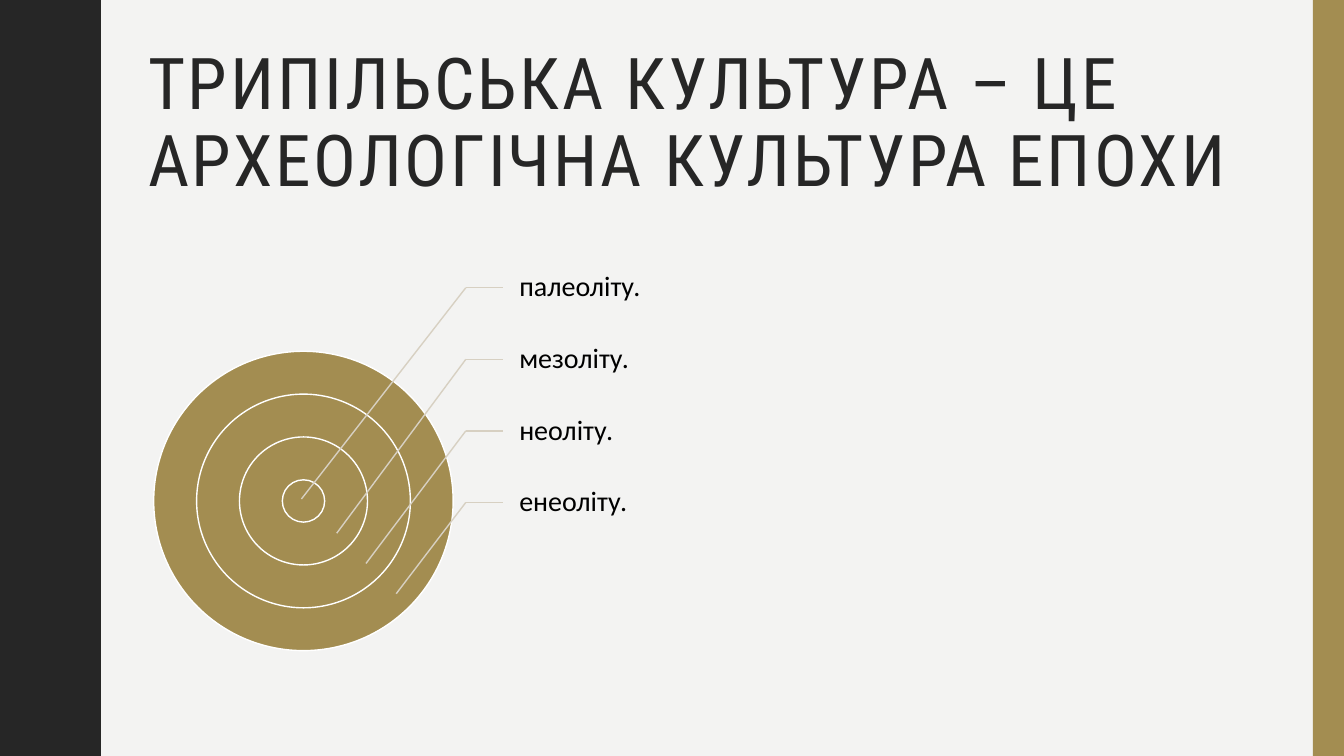
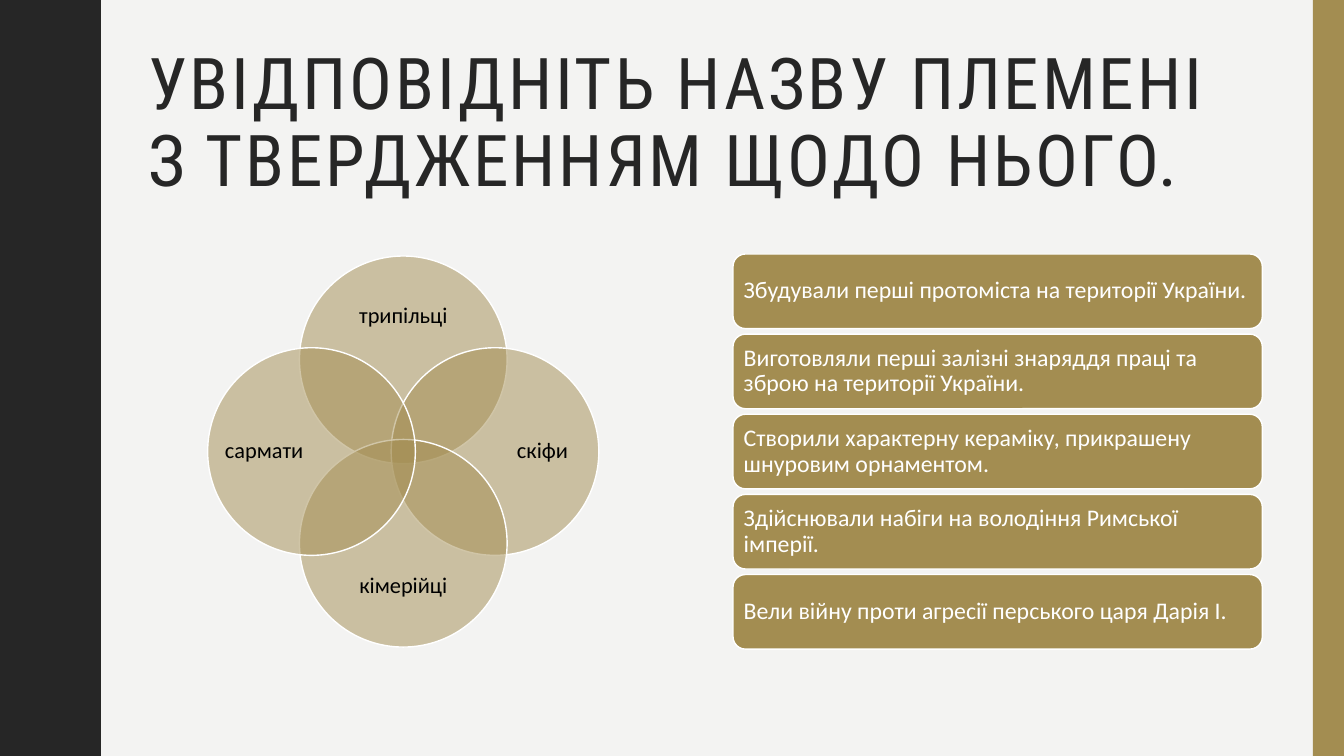
import pptx
import pptx.util
import pptx.dml.color
import pptx.enum.shapes
import pptx.enum.text
import pptx.oxml.ns
import lxml.etree

Inches = pptx.util.Inches
Pt = pptx.util.Pt
Shape = pptx.enum.shapes.MSO_SHAPE
Align = pptx.enum.text.PP_ALIGN
qn = pptx.oxml.ns.qn

HEX = {
    "paper": "F3F3F2",
    "dark": "262626",
    "gold": "A38D51",
    "line": "D7D0C2",
    "white": "FFFFFF",
    "black": "000000",
}
WIDE, HIGH = 13.33, 7.5
HEAD, BODY = "Roboto Condensed", "Calibri"
PERIOD = 1.5
CURVE = [
    (0.78, 0), (0.78, 0.07), (0.79, 0.14), (0.8, 0.2), (0.81, 0.25),
    (0.83, 0.29), (0.85, 0.33), (0.87, 0.38), (0.89, 0.42), (0.91, 0.46),
    (0.93, 0.5), (0.95, 0.55), (0.96, 0.61), (0.97, 0.68), (0.97, 0.75),
]


def color(name):
    return pptx.dml.color.RGBColor.from_string(HEX[name])


class Deck:
    def __init__(self):
        self.show = pptx.Presentation()
        self.show.slide_width = Inches(WIDE)
        self.show.slide_height = Inches(HIGH)
        self.slide = None

    def page(self, title):
        self.slide = self.show.slides.add_slide(self.show.slide_layouts[6])
        fill = self.slide.background.fill
        fill.solid()
        fill.fore_color.rgb = color("paper")
        self.wave()
        self.shape(Shape.RECTANGLE, 13.02, 0, 0.31, HIGH, edge=None)
        box = self.label(title, 1.37, 0.42, 11.13, 1.63, 51, "dark",
                         HEAD, pad=(0.1, 0.05, 0.1, 0.05))
        run = box.text_frame.paragraphs[0].runs[0]
        run._r.get_or_add_rPr().set("spc", "200")

    def wave(self):
        full = CURVE + [(x, PERIOD - y) for x, y in CURVE[-2::-1]]
        edge = [(x, y + PERIOD * i)
                for i in range(round(HIGH / PERIOD)) for x, y in full]
        form = self.slide.shapes.build_freeform(0, 0, scale=Inches(1))
        form.add_line_segments(edge + [(0, HIGH)], close=True)
        self.paint(form.convert_to_shape(), "dark", None)

    def paint(self, shape, fill, edge, alpha=None):
        shape.shadow.inherit = False
        shape.fill.solid()
        shape.fill.fore_color.rgb = color(fill)
        if alpha:
            tint = shape._element.spPr.find(".//" + qn("a:srgbClr"))
            node = lxml.etree.SubElement(tint, qn("a:alpha"))
            node.set("val", str(alpha * 1000))
        if edge:
            shape.line.color.rgb = color(edge)
            shape.line.width = Pt(1)
        else:
            shape.line.fill.background()

    def shape(self, kind, x, y, w, h, edge="white", alpha=None):
        shape = self.slide.shapes.add_shape(
            kind, Inches(x), Inches(y), Inches(w), Inches(h))
        self.paint(shape, "gold", edge, alpha)
        return shape

    def disc(self, x, y, size, alpha=None):
        self.shape(Shape.OVAL, x - size / 2, y - size / 2, size, size,
                   alpha=alpha)

    def letter(self, shape, text, size, ink, font=BODY, align=Align.LEFT,
               pad=(0, 0, 0, 0)):
        frame = shape.text_frame
        frame.word_wrap = True
        frame.vertical_anchor = pptx.enum.text.MSO_ANCHOR.MIDDLE
        (frame.margin_left, frame.margin_top,
         frame.margin_right, frame.margin_bottom) = map(Inches, pad)
        frame.text = text
        para = frame.paragraphs[0]
        para.alignment = align
        para.line_spacing = 0.9
        style = para.runs[0].font
        style.name = font
        style.size = Pt(size)
        style.color.rgb = color(ink)

    def label(self, text, x, y, w, h, size, ink="black", font=BODY,
              align=Align.LEFT, pad=(0, 0, 0, 0)):
        box = self.slide.shapes.add_textbox(
            Inches(x), Inches(y), Inches(w), Inches(h))
        self.letter(box, text, size, ink, font, align, pad)
        return box

    def card(self, text, x, y, w, h):
        card = self.shape(Shape.ROUNDED_RECTANGLE, x, y, w, h)
        self.letter(card, text, 17, "white", pad=(0.07,) * 4)

    def line(self, start, end, box=None):
        line = self.slide.shapes.add_connector(
            pptx.enum.shapes.MSO_CONNECTOR.STRAIGHT,
            *map(Inches, start + end))
        line.line.color.rgb = color("line")
        line.line.width = Pt(1)
        lxml.etree.SubElement(line._element.spPr, qn("a:effectLst"))
        if box is not None:
            line.end_connect(box, 1)


def rings(deck):
    deck.page("ТРИПІЛЬСЬКА КУЛЬТУРА – ЦЕ АРХЕОЛОГІЧНА КУЛЬТУРА ЕПОХИ")
    for size in (2.97, 2.12, 1.27, 0.42):
        deck.disc(3.01, 4.97, size)
    eras = [
        ("палеоліту.", (2.99, 4.95)),
        ("мезоліту.", (3.34, 5.29)),
        ("неоліту.", (3.63, 5.59)),
        ("енеоліту.", (3.93, 5.89)),
    ]
    left, bend, step = 4.99, 4.62, 0.71
    for i, (era, tip) in enumerate(eras):
        top = 2.5 + step * i
        mid = top + step / 2
        box = deck.label(era, left, top, 1.48, step, 20,
                         pad=(0.16, 0.03, 0.03, 0.03))
        deck.line((bend, mid), (left, mid), box)
        deck.line((bend, mid), tip)


def tribes(deck):
    deck.page("УВІДПОВІДНІТЬ НАЗВУ ПЛЕМЕНІ З ТВЕРДЖЕННЯМ ЩОДО НЬОГО.")
    names = [
        ("трипільці", 0, -1),
        ("скіфи", 1, 0),
        ("кімерійці", 0, 1),
        ("сармати", -1, 0),
    ]
    midx, midy, reach = 4, 4.48, 0.91
    for name, dx, dy in names:
        deck.disc(midx + reach * dx, midy + reach * dy, 2.06, alpha=50)
        w, h = (0.79, 1.58) if dx else (1.58, 0.65)
        x, y = midx + 1.38 * dx, midy + 1.34 * dy
        deck.label(name, x - w / 2, y - h / 2, w, h, 16,
                   align=Align.CENTER)
    facts = [
        "Збудували перші протоміста на території України.",
        "Виготовляли перші залізні знаряддя праці та зброю на території України.",
        "Створили характерну кераміку, прикрашену шнуровим орнаментом.",
        "Здійснювали набіги на володіння Римської імперії.",
        "Вели війну проти агресії перського царя Дарія І.",
    ]
    first, last = 2.52, 5.7
    step = (last - first) / (len(facts) - 1)
    for i, fact in enumerate(facts):
        deck.card(fact, 7.27, first + step * i, 5.25, 0.74)


def main():
    deck = Deck()
    rings(deck)
    tribes(deck)
    deck.show.save("out.pptx")


if __name__ == "__main__":
    main()
